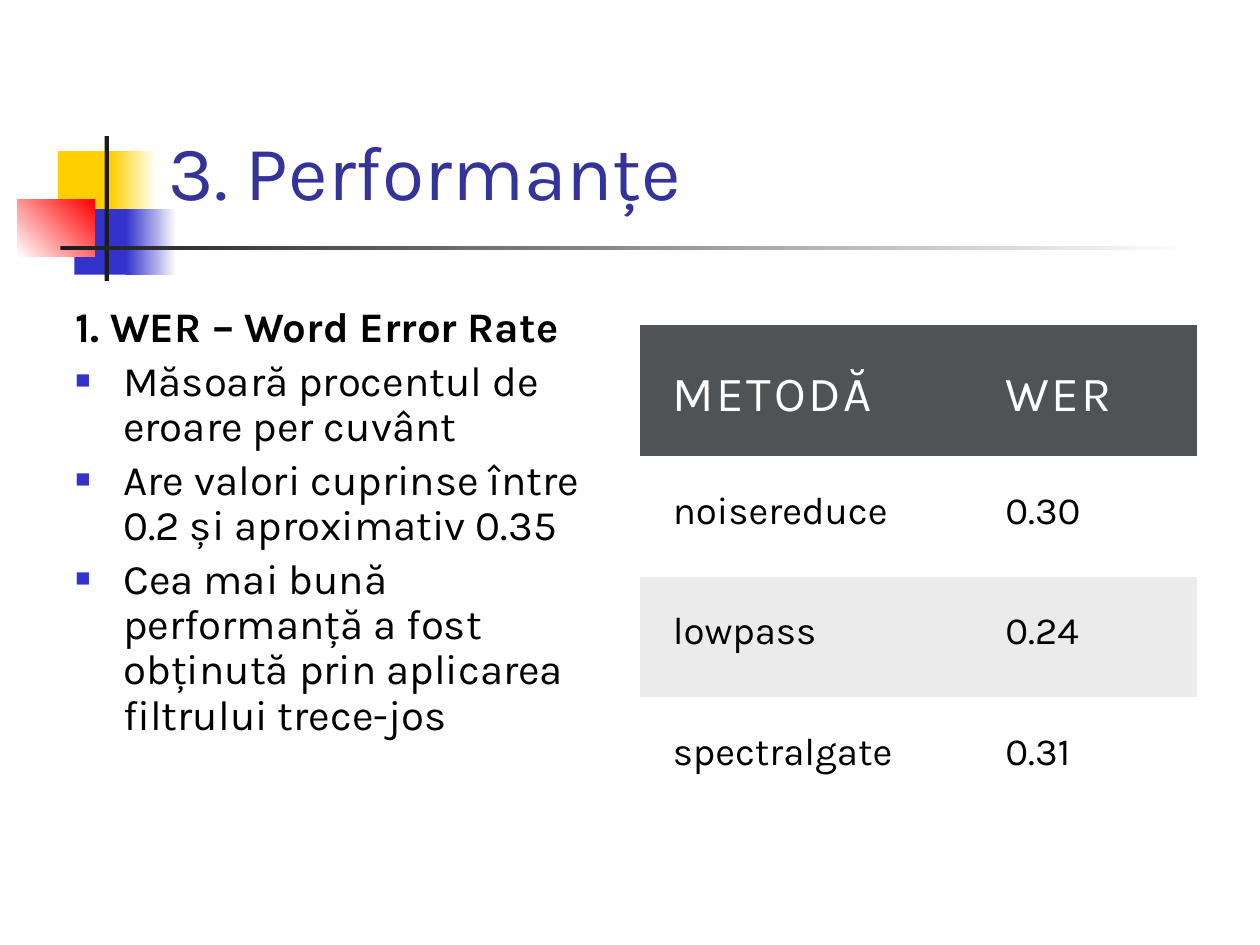
from lxml.etree import SubElement
from pptx import Presentation
from pptx.dml.color import RGBColor
from pptx.enum.shapes import MSO_SHAPE as SHAPE
from pptx.enum.text import MSO_ANCHOR as ANCHOR
from pptx.oxml.ns import qn
from pptx.util import Inches, Pt

WIDTH, HEIGHT = Inches(10), Inches(7.5)
FONT = "Karla"
NO_GRID_STYLE = "{2D5ABB26-0587-4C30-8999-92F81FD0307C}"
BLACK, WHITE, BLUE, YELLOW, RED, DARK = (
    "000000", "FFFFFF", "3333CC", "FFCF01", "FF0000", "1C1C1C")

DECORATION = [
    ((4.6, 16, 4.8, 6.93), [YELLOW], 0),
    ((8.8, 16, 3.6, 6.93), [YELLOW, WHITE], 0),
    ((5.9, 22.13, 4.6, 6.93), [BLUE], 0),
    ((10, 22.13, 4, 6.93), [BLUE, WHITE], 0),
    ((1.4, 21.07, 6.1, 6.13), [WHITE, RED], 45),
    ((8.3, 14.4, 0.35, 15.33), [DARK], 0),
    ((4.8, 26, 90, 0.45), [DARK, WHITE], 0),
]
BULLETS = [
    "Măsoară procentul de eroare per cuvânt",
    "Are valori cuprinse între 0.2 și aproximativ 0.35",
    "Cea mai bună performanță a fost obținută prin aplicarea filtrului trece-jos",
]
RESULTS = [
    ("METODĂ", "WER"),
    ("noisereduce", "0.30"),
    ("lowpass", "0.24"),
    ("spectralgate", "0.31"),
]


def rgb(value):
    return RGBColor.from_string(value)


def across(share):
    return round(WIDTH * share / 100)


def down(share):
    return round(HEIGHT * share / 100)


def place(x, y, w, h):
    return across(x), down(y), across(w), down(h)


def add_text(p, text, size=24, color=BLACK, bold=False, spacing=0):
    r = p.add_run()
    r.text = text
    r.font.name, r.font.size, r.font.bold = FONT, Pt(size), bold
    r.font.color.rgb = rgb(color)
    if spacing:
        r._r.get_or_add_rPr().set("spc", str(round(spacing * 100)))


def add_block(slide, area, colors, angle):
    sp = slide.shapes.add_shape(SHAPE.RECTANGLE, *place(*area))
    sp.shadow.inherit = False
    sp.line.fill.background()
    if len(colors) == 1:
        sp.fill.solid()
        sp.fill.fore_color.rgb = rgb(colors[0])
        return
    sp.fill.gradient()
    sp.fill.gradient_angle = angle
    for stop, color in zip(sp.fill.gradient_stops, colors):
        stop.color.rgb = rgb(color)


def add_box(slide, area, anchor=ANCHOR.TOP):
    tf = slide.shapes.add_textbox(*place(*area)).text_frame
    tf.word_wrap = True
    tf.vertical_anchor = anchor
    return tf


def add_bullet(p):
    pPr = p._p.get_or_add_pPr()
    pPr.set("marL", str(Inches(0.38)))
    pPr.set("indent", str(-Inches(0.38)))
    buClr = SubElement(pPr, qn("a:buClr"))
    SubElement(buClr, qn("a:srgbClr"), val=BLUE)
    SubElement(pPr, qn("a:buSzPct"), val="60000")
    SubElement(pPr, qn("a:buFont"), typeface="Arial")
    SubElement(pPr, qn("a:buChar"), char="■")


def add_body(slide):
    tf = add_box(slide, (5, 31.73, 44.2, 57.6))
    for i, text in enumerate(["1. WER – Word Error Rate", *BULLETS]):
        p = tf.add_paragraph() if i else tf.paragraphs[0]
        p.line_spacing, p.space_before = 0.9, Pt(4.8)
        if i:
            add_bullet(p)
        add_text(p, text, bold=i == 0)


def fill_cell(cell, text, header, fill):
    cell.margin_left = cell.margin_right = Inches(0.26)
    cell.margin_top = cell.margin_bottom = Inches(0.26)
    cell.vertical_anchor = ANCHOR.BOTTOM if header else ANCHOR.TOP
    if fill:
        cell.fill.solid()
        cell.fill.fore_color.rgb = rgb(fill)
    else:
        cell.fill.background()
    style = dict(size=28, color=WHITE, spacing=1.5) if header else dict(size=22)
    add_text(cell.text_frame.paragraphs[0], text, **style)


def add_results(slide):
    area = place(50.8, 34.4, 44.2, 52.15)
    table = slide.shapes.add_table(len(RESULTS), 2, *area).table
    table._tbl.tblPr.find(qn("a:tableStyleId")).text = NO_GRID_STYLE
    for column, share in zip(table.columns, (26.4, 17.8)):
        column.width = across(share)
    for i, values in enumerate(RESULTS):
        table.rows[i].height = down(12.75 if i else 13.9)
        fill = "505356" if i == 0 else "EBEBEB" if i % 2 == 0 else None
        for j, text in enumerate(values):
            fill_cell(table.cell(i, j), text, i == 0, fill)


def main():
    prs = Presentation()
    prs.slide_width, prs.slide_height = WIDTH, HEIGHT
    slide = prs.slides.add_slide(prs.slide_layouts[6])
    for area, colors, angle in DECORATION:
        add_block(slide, area, colors, angle)
    title = add_box(slide, (12.4, 6.8, 90, 16.67), ANCHOR.BOTTOM)
    add_text(title.paragraphs[0], "3. Performanțe", size=44, color="333399")
    add_body(slide)
    add_results(slide)
    prs.save("out.pptx")


if __name__ == "__main__":
    main()
